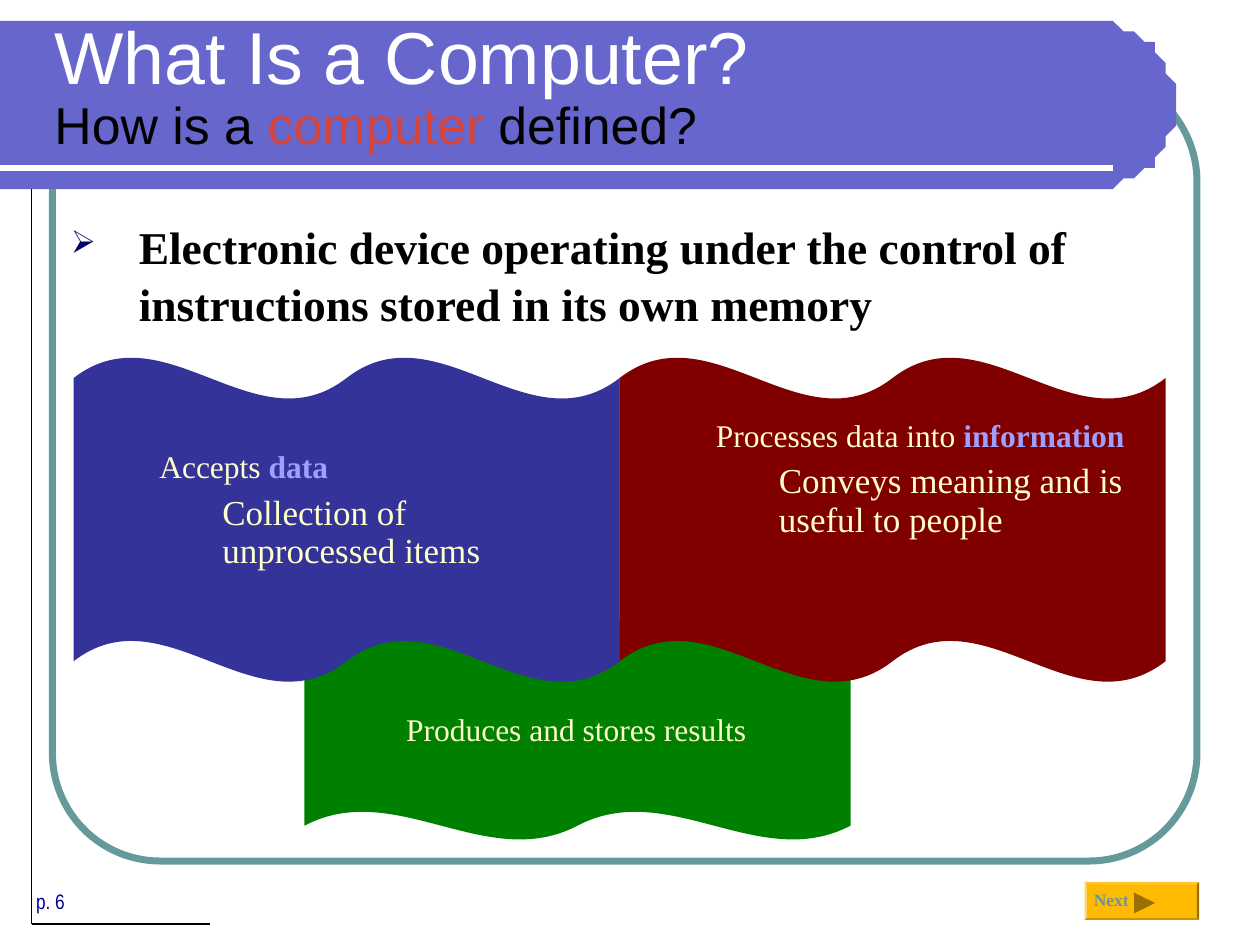
import math
from dataclasses import dataclass

from lxml import etree
from pptx import Presentation
from pptx.dml.color import RGBColor
from pptx.enum.shapes import MSO_CONNECTOR, MSO_SHAPE
from pptx.enum.text import MSO_ANCHOR
from pptx.oxml.ns import qn
from pptx.util import Emu, Inches, Pt

STRAIGHT = MSO_CONNECTOR.STRAIGHT
ROUNDED = MSO_SHAPE.ROUNDED_RECTANGLE
WAVE = MSO_SHAPE.DOUBLE_WAVE
BEVEL = MSO_SHAPE.BEVEL
TOP, MIDDLE = MSO_ANCHOR.TOP, MSO_ANCHOR.MIDDLE

SLIDE_WIDTH, SLIDE_HEIGHT = Inches(10), Inches(7.5)
COLUMNS = 120
UNIT = SLIDE_WIDTH / COLUMNS


@dataclass(frozen=True)
class Theme:
    white: str = "FFFFFF"
    black: str = "000000"
    frame: str = "669999"
    banner: str = "6666CC"
    accent: str = "D94439"
    page: str = "000099"
    bullet: str = "000066"
    cream: str = "FFFFCC"
    keyword: str = "9F9FFF"
    blue: str = "333399"
    maroon: str = "800000"
    green: str = "008000"
    button: str = "FFBA02"
    arrow: str = "997001"
    sans: str = "Arial"
    narrow: str = "Arial Narrow"
    serif: str = "Times New Roman"
    title_size: float = 42
    subtitle_size: float = 29.6
    statement_size: float = 26
    detail_size: float = 20
    point_size: float = 18
    page_size: float = 12
    button_size: float = 10


THEME = Theme()


@dataclass(frozen=True)
class Box:
    column: float
    row: float
    columns: float
    rows: float

    def emu(self) -> list[Emu]:
        return [grid(n) for n in (self.column, self.row, self.columns, self.rows)]


@dataclass(frozen=True)
class Phrase:
    text: str
    color: str = ""
    bold: bool = False


@dataclass(frozen=True)
class Para:
    phrases: tuple[Phrase, ...]
    size: float
    color: str
    font: str = THEME.serif
    bold: bool = False
    margin: float = 0
    hanging: float = 0
    bullet: str = ""
    before: float = 0
    spacing: float | Pt | None = None


@dataclass(frozen=True)
class Banner:
    outline: Box
    color: str
    text_box: Box
    paras: tuple[Para, ...]
    wrap: bool = True


def grid(units: float) -> Emu:
    return Emu(round(units * UNIT))


def rgb(color: str) -> RGBColor:
    return RGBColor.from_string(color)


def paint(shape, color: str) -> None:
    shape.shadow.inherit = False
    shape.fill.solid()
    shape.fill.fore_color.rgb = rgb(color)
    shape.line.fill.background()


def draw_preset(shapes, preset, box: Box, color: str, adjustment: float):
    shape = shapes.add_shape(preset, *box.emu())
    shape.adjustments[0] = adjustment
    paint(shape, color)
    return shape


def draw_outline(shapes, points: list[tuple[float, float]], color: str) -> None:
    builder = shapes.build_freeform(*points[0], scale=UNIT)
    builder.add_line_segments(points[1:], close=True)
    paint(builder.convert_to_shape(), color)


def draw_line(shapes, start: tuple, end: tuple, color: str, width: float) -> None:
    line = shapes.add_connector(STRAIGHT, *(grid(n) for n in start + end))
    line.line.color.rgb = rgb(color)
    line.line.width = Pt(width)
    etree.SubElement(line._element.spPr, qn("a:effectLst"))


def add_bullet(properties, mark: str) -> None:
    color = etree.SubElement(properties, qn("a:buClr"))
    etree.SubElement(color, qn("a:srgbClr"), val=THEME.bullet)
    etree.SubElement(properties, qn("a:buSzPct"), val="70000")
    etree.SubElement(properties, qn("a:buChar"), char=mark)


def write_para(paragraph, para: Para) -> None:
    properties = paragraph._p.get_or_add_pPr()
    properties.set("marL", str(Inches(para.margin)))
    properties.set("indent", str(Inches(-para.hanging)))
    if para.before:
        paragraph.space_before = Pt(para.before)
    if para.spacing:
        paragraph.line_spacing = para.spacing
    if para.bullet:
        add_bullet(properties, para.bullet)
    font = paragraph.font
    font.name, font.size, font.bold = para.font, Pt(para.size), para.bold
    font.color.rgb = rgb(para.color)
    for phrase in para.phrases:
        if phrase.text == "\n":
            paragraph.add_line_break()
            continue
        run = paragraph.add_run()
        run.text = phrase.text
        if phrase.color:
            run.font.color.rgb = rgb(phrase.color)
        if phrase.bold:
            run.font.bold = True


def draw_text(shapes, box: Box, paras: tuple[Para, ...], anchor=TOP, wrap: bool = True) -> None:
    frame = shapes.add_textbox(*box.emu()).text_frame
    frame.word_wrap = wrap
    frame.vertical_anchor = anchor
    for index, para in enumerate(paras):
        write_para(frame.add_paragraph() if index else frame.paragraphs[0], para)


def point(*phrases: Phrase) -> Para:
    return Para(phrases, THEME.point_size, THEME.cream, margin=1)


def detail(*phrases: Phrase) -> Para:
    return Para(phrases, THEME.detail_size, THEME.cream, margin=1.5, before=5, spacing=Pt(22))


def keyword(text: str) -> Phrase:
    return Phrase(text, THEME.keyword, True)


def draw_banner(shapes, banner: Banner) -> None:
    draw_preset(shapes, WAVE, banner.outline, banner.color, 0.065)
    draw_text(shapes, banner.text_box, banner.paras, wrap=banner.wrap)


def draw_backdrop(shapes) -> None:
    frame = draw_preset(shapes, ROUNDED, Box(5, 7, 109, 75), THEME.white, 0.137)
    frame.fill.background()
    frame.line.color.rgb = rgb(THEME.frame)
    frame.line.width = Pt(4)
    angles = [math.radians(degrees) for degrees in range(-90, 91, 3)]
    cap = [(104 + 8 * math.cos(a), 10 + 8 * math.sin(a)) for a in angles]
    draw_outline(shapes, [(0, 2), *cap, (0, 18)], THEME.banner)
    draw_line(shapes, (0, 16), (106, 16), THEME.white, 3)
    draw_line(shapes, (3, 88), (20, 88), THEME.black, 0.75)
    draw_line(shapes, (3, 88), (3, 18), THEME.black, 0.75)


def draw_next_button(shapes) -> None:
    draw_preset(shapes, BEVEL, Box(103.3, 84, 10.9, 3.6), THEME.button, 0.06)
    draw_outline(shapes, [(107.6, 84.6), (110, 85.8), (107.6, 87)], THEME.arrow)
    label = Para((Phrase("Next"),), THEME.button_size, THEME.frame, bold=True)
    draw_text(shapes, Box(103, 84.1, 6.1, 3.2), (label,))


SUBTITLE = Para((Phrase("How is a "), Phrase("computer", THEME.accent), Phrase(" defined?")),
                THEME.subtitle_size, THEME.black, THEME.sans, margin=0.38, hanging=0.38)
TITLE = Para((Phrase("What Is a Computer?"),), THEME.title_size, THEME.white, THEME.sans)
PAGE = Para((Phrase("p. 6"),), THEME.page_size, THEME.page, THEME.narrow)
STATEMENT = Para(
    (Phrase("Electronic device operating under the control of instructions stored in its own memory"),),
    THEME.statement_size, THEME.black, bold=True, margin=0.67, hanging=0.54, bullet="➢", spacing=1.05)

RESULTS = Banner(Box(29, 59, 52, 21), THEME.green, Box(25.5, 67, 46.8, 4.8),
                 (point(Phrase("Produces and stores results")),), wrap=False)
INFORMATION = Banner(Box(59, 34, 52, 31), THEME.maroon, Box(55, 39, 60, 13),
                     (point(Phrase("Processes data into "), keyword("information")),
                      detail(Phrase("Conveys meaning and is"), Phrase("\n"), Phrase("useful to people"))))
DATA = Banner(Box(7, 34, 52, 31), THEME.blue, Box(2, 42, 53, 13),
              (point(Phrase("Accepts "), keyword("data")),
               detail(Phrase("Collection of unprocessed items"))))


def main() -> None:
    deck = Presentation()
    deck.slide_width, deck.slide_height = SLIDE_WIDTH, SLIDE_HEIGHT
    shapes = deck.slides.add_slide(deck.slide_layouts[6]).shapes
    draw_backdrop(shapes)
    draw_text(shapes, Box(4, 8, 112.7, 7.5), (SUBTITLE,), MIDDLE)
    draw_text(shapes, Box(4, 0, 112.7, 10.5), (TITLE,), MIDDLE)
    draw_text(shapes, Box(2.25, 84, 20.3, 3.6), (PAGE,))
    draw_banner(shapes, RESULTS)
    draw_next_button(shapes)
    draw_text(shapes, Box(4, 20, 112.7, 12), (STATEMENT,))
    for banner in (INFORMATION, DATA):
        draw_banner(shapes, banner)
    deck.save("out.pptx")


if __name__ == "__main__":
    main()
